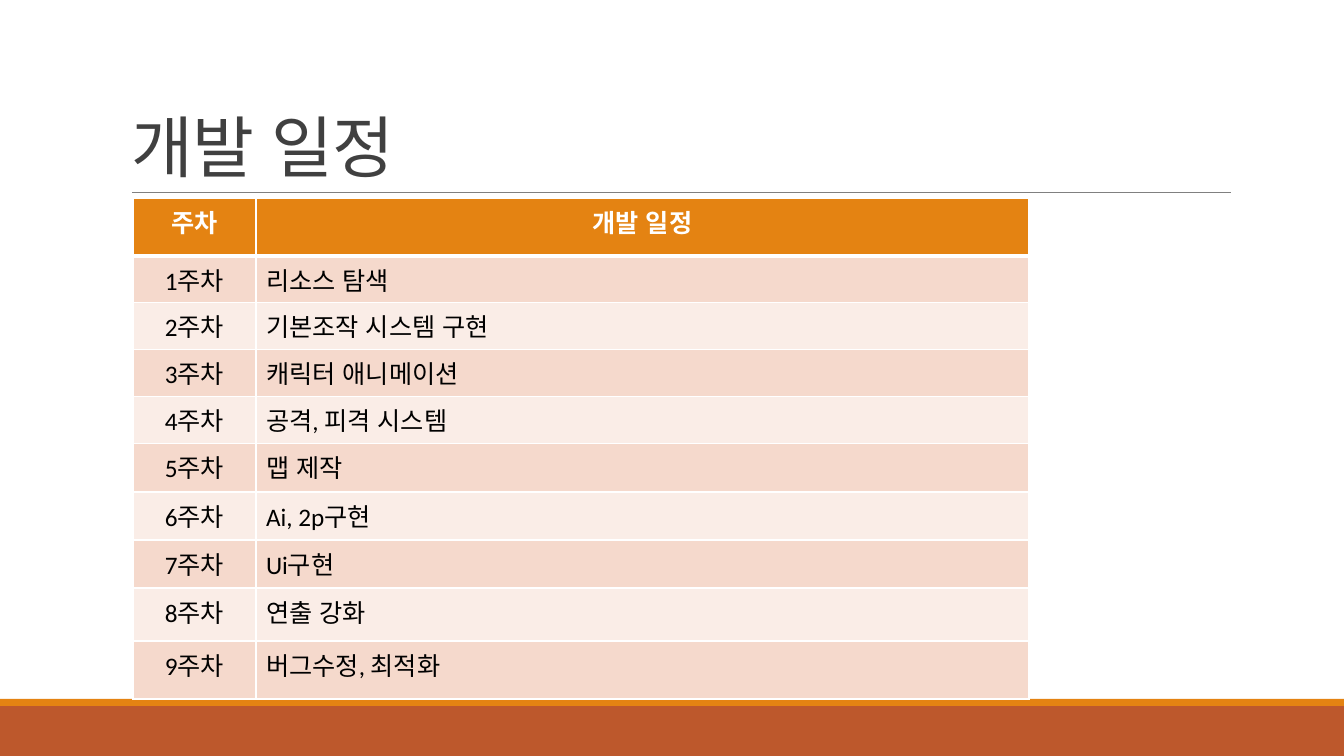
from dataclasses import dataclass

from lxml import etree
from pptx import Presentation
from pptx.dml.color import RGBColor
from pptx.enum.lang import MSO_LANGUAGE_ID
from pptx.enum.shapes import MSO_CONNECTOR, MSO_SHAPE
from pptx.enum.text import MSO_ANCHOR, MSO_AUTO_SIZE, PP_ALIGN
from pptx.oxml.ns import qn
from pptx.util import Pt

TITLE = "개발 일정"
HEADER = ("주차", "개발 일정")
WEEKLY_TASKS = [
    "리소스 탐색",
    "기본조작 시스템 구현",
    "캐릭터 애니메이션",
    "공격, 피격 시스템",
    "맵 제작",
    "Ai, 2p구현",
    "Ui구현",
    "연출 강화",
    "버그수정, 최적화",
]
SCHEDULE = [HEADER] + [(f"{week}주차", task) for week, task in enumerate(WEEKLY_TASKS, 1)]

SLIDE_W, SLIDE_H = 1344, 756
PX = 12192000 / SLIDE_W
TITLE_BOX = (121, 31, 1109, 160)
RULE = (132, 192, 1231, 192)
FOOTER_TOP, STRIPE_H = 706, 7
TABLE_LEFT, TABLE_TOP = 133, 198
COLUMN_WIDTHS = (123, 773)
ROW_HEIGHTS = (58, 46, 47, 46, 47, 49, 48, 48, 53, 58)

LEFT, CENTER = PP_ALIGN.LEFT, PP_ALIGN.CENTER
BOTTOM = MSO_ANCHOR.BOTTOM
NO_FIT = MSO_AUTO_SIZE.NONE
RECTANGLE = MSO_SHAPE.RECTANGLE
STRAIGHT = MSO_CONNECTOR.STRAIGHT
KOREAN = MSO_LANGUAGE_ID.KOREAN


@dataclass(frozen=True)
class Theme:
    font: str = "Calibri"
    title: str = "404040"
    rule: str = "808080"
    accent: str = "E48312"
    footer: str = "BD582C"
    bands: tuple = ("FAEDE7", "F5D9CC")
    border: str = "FFFFFF"
    header_text: str = "FFFFFF"
    body_text: str = "000000"
    title_size: int = 48
    table_size: int = 18


THEME = Theme()


def px(length):
    return round(length * PX)


def style_text(paragraph, size, color, bold=False):
    for run in paragraph.runs:
        font = run.font
        font.name = THEME.font
        font.size = Pt(size)
        font.bold = bold
        font.color.rgb = RGBColor.from_string(color)
        font.language_id = KOREAN


def add_bar(slide, top, height, color):
    bar = slide.shapes.add_shape(RECTANGLE, 0, px(top), px(SLIDE_W), px(height))
    bar.shadow.inherit = False
    bar.fill.solid()
    bar.fill.fore_color.rgb = RGBColor.from_string(color)
    bar.line.fill.background()


def add_rule(slide):
    rule = slide.shapes.add_connector(STRAIGHT, *map(px, RULE))
    rule.line.color.rgb = RGBColor.from_string(THEME.rule)
    rule.line.width = Pt(0.5)
    etree.SubElement(rule._element.spPr, qn("a:effectLst"))


def add_title(slide):
    title = slide.shapes.title
    title.left, title.top, title.width, title.height = map(px, TITLE_BOX)
    frame = title.text_frame
    frame.text = TITLE
    frame.word_wrap = True
    frame.auto_size = NO_FIT
    frame.vertical_anchor = BOTTOM
    heading = frame.paragraphs[0]
    heading.alignment = LEFT
    heading.line_spacing = 0.85
    style_text(heading, THEME.title_size, THEME.title)
    heading.runs[0].font._element.set("spc", "-50")


def set_borders(cell, widths):
    """Draw the cell's edges; widths maps L, R, T and B to points."""
    properties = cell._tc.get_or_add_tcPr()
    for position, (side, width) in enumerate(widths.items()):
        edge = etree.Element(qn(f"a:ln{side}"), w=str(Pt(width)))
        fill = etree.SubElement(edge, qn("a:solidFill"))
        etree.SubElement(fill, qn("a:srgbClr"), val=THEME.border)
        properties.insert(position, edge)


def add_schedule(slide):
    frame = slide.shapes.add_table(
        len(SCHEDULE), len(HEADER), px(TABLE_LEFT), px(TABLE_TOP),
        px(sum(COLUMN_WIDTHS)), px(sum(ROW_HEIGHTS)),
    )
    table = frame.table
    for column, width in zip(table.columns, COLUMN_WIDTHS):
        column.width = px(width)
    for row, height in zip(table.rows, ROW_HEIGHTS):
        row.height = px(height)

    for r, entries in enumerate(SCHEDULE):
        is_header = r == 0
        background = THEME.accent if is_header else THEME.bands[r % 2]
        text_color = THEME.header_text if is_header else THEME.body_text
        borders = {"L": 1, "R": 1, "T": 3 if r == 1 else 1, "B": 3 if is_header else 1}
        for c, entry in enumerate(entries):
            cell = table.cell(r, c)
            cell.text_frame.text = entry
            paragraph = cell.text_frame.paragraphs[0]
            paragraph.alignment = CENTER if is_header or c == 0 else LEFT
            style_text(paragraph, THEME.table_size, text_color, is_header)
            cell.fill.solid()
            cell.fill.fore_color.rgb = RGBColor.from_string(background)
            set_borders(cell, borders)


def main():
    deck = Presentation()
    deck.slide_width, deck.slide_height = px(SLIDE_W), px(SLIDE_H)
    slide = deck.slides.add_slide(deck.slide_layouts.get_by_name("Title Only"))
    add_bar(slide, FOOTER_TOP, SLIDE_H - FOOTER_TOP, THEME.footer)
    add_bar(slide, FOOTER_TOP - STRIPE_H, STRIPE_H, THEME.accent)
    add_rule(slide)
    add_title(slide)
    add_schedule(slide)
    deck.save("out.pptx")


if __name__ == "__main__":
    main()
